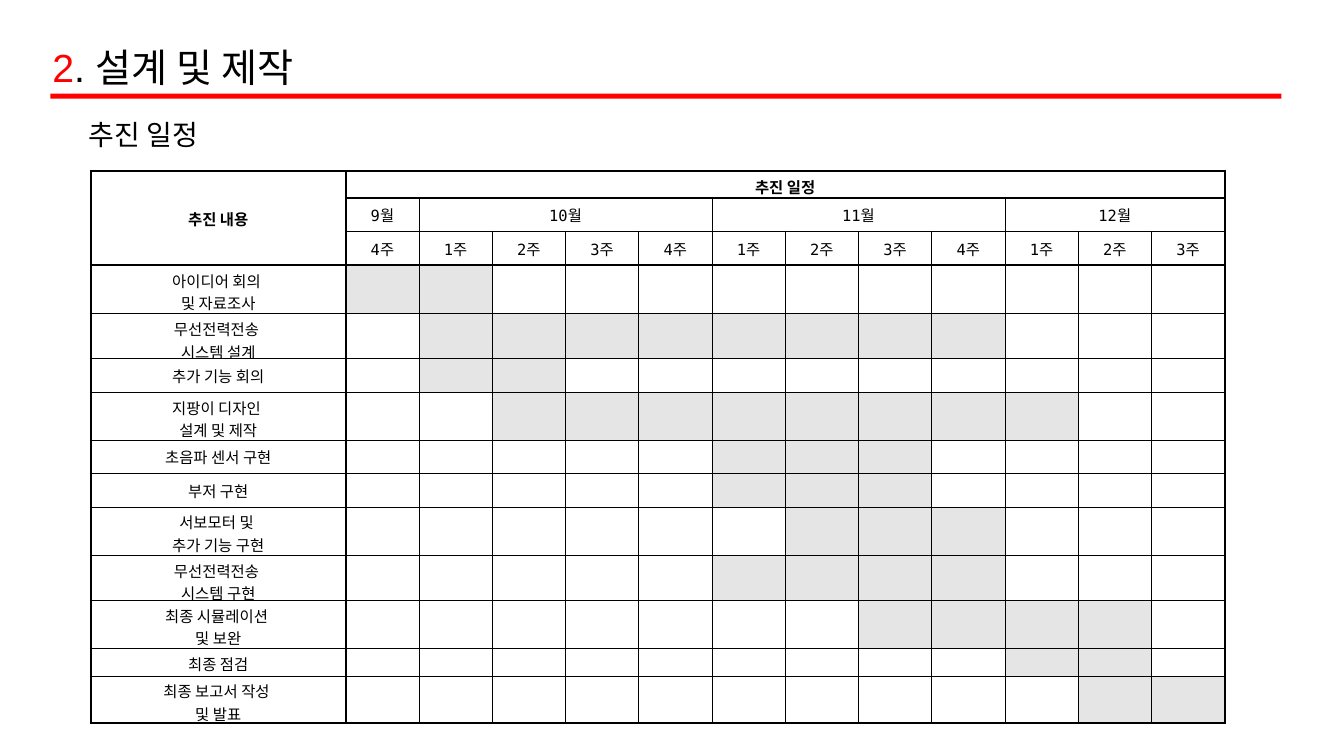
from pptx import Presentation
from pptx.dml.color import RGBColor
from pptx.enum import shapes, text
from pptx.oxml.ns import qn
from pptx.util import Inches, Pt
from lxml import etree

SANS, MONO = "Arial", "DejaVu Sans Mono"
BLACK, WHITE, RED, GREY = "000000", "FFFFFF", "FF0000", "E5E5E5"
THIN, THICK = 0.56, 1.7

MONTHS = [("9월", [4]), ("10월", [1, 2, 3, 4]),
          ("11월", [1, 2, 3, 4]), ("12월", [1, 2, 3])]
HEADER_HEIGHTS = [0.25, 0.33, 0.34]
# Task, row height, first and last busy week column
TASKS = [
    ("아이디어 회의 \n및 자료조사", 0.48, 1, 2),
    ("무선전력전송 \n시스템 설계", 0.41, 2, 9),
    ("추가 기능 회의", 0.33, 2, 3),
    ("지팡이 디자인 \n설계 및 제작", 0.48, 3, 10),
    ("초음파 센서 구현", 0.33, 6, 8),
    ("부저 구현", 0.33, 6, 8),
    ("서보모터 및 \n추가 기능 구현", 0.48, 7, 9),
    ("무선전력전송 \n시스템 구현", 0.41, 6, 9),
    ("최종 시뮬레이션 \n및 보완", 0.48, 8, 11),
    ("최종 점검", 0.27, 10, 11),
    ("최종 보고서 작성 \n및 발표", 0.47, 11, 12),
]
WEEKS = sum(len(weeks) for _, weeks in MONTHS)
ROWS = len(HEADER_HEIGHTS) + len(TASKS)


def rgb(value):
    return RGBColor.from_string(value)


def style_run(r, size, font, color=BLACK, bold=False):
    r.font.size, r.font.name, r.font.bold = Pt(size), font, bold
    r.font.color.rgb = rgb(color)


def add_label(slide, x, y, w, h, pieces, size, font):
    tf = slide.shapes.add_textbox(Inches(x), Inches(y), Inches(w), Inches(h)).text_frame
    tf.word_wrap = False
    tf.auto_size = text.MSO_AUTO_SIZE.SHAPE_TO_FIT_TEXT
    for words, color in pieces:
        r = tf.paragraphs[0].add_run()
        r.text = words
        style_run(r, size, font, color)


def add_heading(slide, x, y, w):
    """Numbered title, red rule and subtitle."""
    add_label(slide, x, y, 2.92, 0.57,
              [("2", RED), (". 설계 및 제작", BLACK)], 28, SANS)
    rule = slide.shapes.add_shape(shapes.MSO_SHAPE.RECTANGLE, Inches(x + 0.08),
                                  Inches(y + 0.55), Inches(w), Inches(0.05))
    rule.shadow.inherit = False
    rule.fill.solid()
    rule.fill.fore_color.rgb = rgb(RED)
    rule.line.fill.background()
    add_label(slide, x + 0.36, y + 0.74, 1.4, 0.44, [("추진 일정", BLACK)], 20, MONO)


def set_borders(cell, row, col):
    """Heavy lines frame the header, the task column and the table."""
    bottom = row + (cell.span_height if cell.is_merge_origin else 1)
    right = col + (cell.span_width if cell.is_merge_origin else 1)
    heavy_cols, heavy_rows = (0, 1, WEEKS + 1), (0, 1, len(HEADER_HEIGHTS), ROWS)
    sides = [("L", col in heavy_cols), ("R", right in heavy_cols),
             ("T", row in heavy_rows), ("B", bottom in heavy_rows)]
    tcPr = cell._tc.get_or_add_tcPr()
    for side, heavy in sides:
        ln = etree.SubElement(tcPr, qn(f"a:ln{side}"),
                              w=str(Pt(THICK if heavy else THIN)))
        fill = etree.SubElement(ln, qn("a:solidFill"))
        etree.SubElement(fill, qn("a:srgbClr"), val=BLACK)


def format_cell(cell, row, col, fill):
    set_borders(cell, row, col)
    cell.fill.solid()
    cell.fill.fore_color.rgb = rgb(fill)
    cell.margin_left = cell.margin_right = Inches(0.07)
    cell.margin_top = cell.margin_bottom = Inches(0.04)
    cell.vertical_anchor = text.MSO_ANCHOR.MIDDLE
    for p in cell.text_frame.paragraphs:
        p.alignment = text.PP_ALIGN.CENTER
        for r in p.runs:
            style_run(r, 11, MONO, bold=row == 0)
        if not p.runs:
            # Empty cells need a small font so that rows stay low
            etree.SubElement(p._p, qn("a:endParaRPr"), sz="1100")


def add_schedule(slide, x, y, w, task_w):
    """Gantt table of tasks against weeks."""
    heights = HEADER_HEIGHTS + [task[1] for task in TASKS]
    table = slide.shapes.add_table(ROWS, WEEKS + 1, Inches(x), Inches(y),
                                   Inches(w), Inches(sum(heights))).table
    table.first_row = table.horz_banding = False
    for i, column in enumerate(table.columns):
        column.width = Inches((w - task_w) / WEEKS if i else task_w)
    for table_row, height in zip(table.rows, heights):
        table_row.height = Inches(height)

    # Header rows
    table.cell(0, 0).merge(table.cell(2, 0))
    table.cell(0, 0).text = "추진 내용"
    table.cell(0, 1).merge(table.cell(0, WEEKS))
    table.cell(0, 1).text = "추진 일정"
    col = 1
    for month, weeks in MONTHS:
        if len(weeks) > 1:
            table.cell(1, col).merge(table.cell(1, col + len(weeks) - 1))
        table.cell(1, col).text = month
        for i, week in enumerate(weeks):
            table.cell(2, col + i).text = f"{week}주"
        col += len(weeks)

    # Task names and busy weeks
    busy = set()
    for row, (name, _, first, last) in enumerate(TASKS, len(HEADER_HEIGHTS)):
        table.cell(row, 0).text = name
        busy.update((row, week) for week in range(first, last + 1))

    for row in range(ROWS):
        for col in range(WEEKS + 1):
            cell = table.cell(row, col)
            if not cell.is_spanned:
                format_cell(cell, row, col, GREY if (row, col) in busy else WHITE)


def main():
    prs = Presentation()
    prs.slide_width, prs.slide_height = Inches(13.33), Inches(7.5)
    slide = prs.slides.add_slide(prs.slide_layouts[6])
    add_heading(slide, 0.42, 0.38, 12.21)
    add_schedule(slide, 0.9, 1.7, 11.25, 2.53)
    prs.save("out.pptx")


if __name__ == "__main__":
    main()
